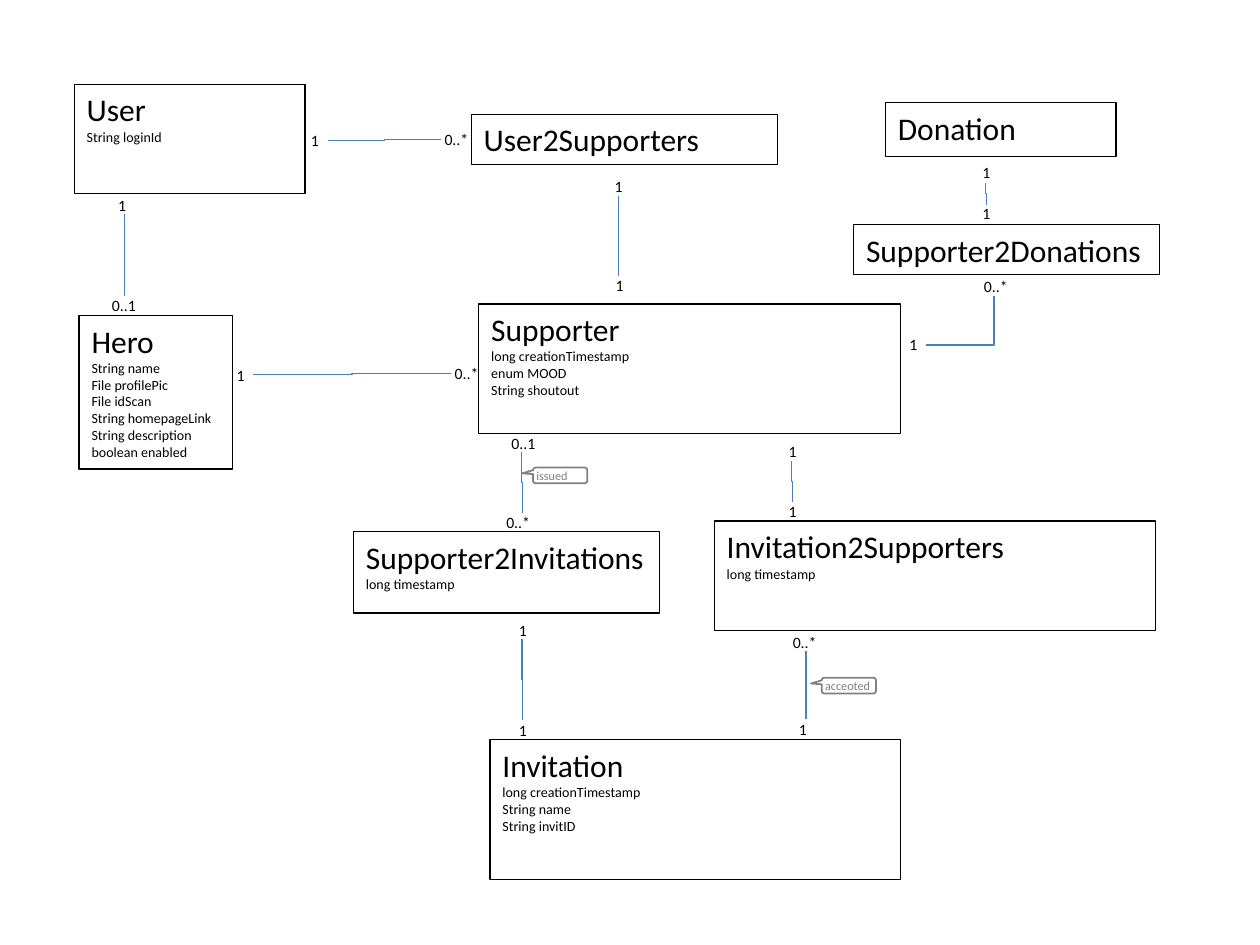
"""Build a class diagram of users, heroes, supporters, invitations and donations."""
from lxml import etree
from pptx import Presentation
from pptx.dml import color
from pptx.enum import shapes, text
from pptx.oxml import ns
from pptx.util import Pt


class Theme:
    font = "Calibri"
    ink = color.RGBColor(0x00, 0x00, 0x00)
    paper = color.RGBColor(0xFF, 0xFF, 0xFF)
    link = color.RGBColor(0x4B, 0x7E, 0xBC)
    note = color.RGBColor(0x80, 0x80, 0x80)
    title, field, label, remark = 18, 8, 9, 7
    thin, note_line = 0.75, 1


CLASSES = [
    ("User", ["String loginId"], (42.5, 48.2, 131.8, 62.6), None),
    ("Supporter", ["long creationTimestamp", "enum MOOD", "String shoutout"],
     (273.6, 173.7, 241.2, 74.2), None),
    ("Hero", ["String name", "File profilePic", "File idScan", "String homepageLink",
              "String description", "boolean enabled"], (45.2, 180.2, 87.8, 87.8), None),
    ("Invitation", ["long creationTimestamp", "String name", "String invitID"],
     (280, 422.6, 234.8, 80), None),
    ("Invitation2Supporters", ["long timestamp"], (408.2, 297.8, 252, 62.6), None),
    ("Donation", [], (506, 58.6, 131.8, 31), None),
    ("Supporter2Invitations", ["long timestamp"], (202, 303.7, 175, 46.6), Theme.paper),
    ("Supporter2Donations", [], (487.8, 128.2, 175, 28.8), Theme.paper),
    ("User2Supporters", [], (269.3, 65.3, 175, 28.8), Theme.paper),
]
LABELS = {
    "1": [(65.5, 111.6), (133.2, 208.8), (448.6, 286.6), (448.6, 252.7), (454.5, 411.1),
          (517.7, 191.5), (559.4, 116.6), (559.4, 92.9), (294.5, 411.8), (294.5, 355),
          (349.7, 157.7), (349.2, 100.8), (175.7, 74.9)],
    "0..1": [(290.2, 247.7), (61.9, 169.2)],
    "0..*": [(257.8, 208.1), (451, 361.4), (560.2, 158.4), (287.3, 293), (252, 74.2)],
}
ACROSS = [(257.8, 213.6, 144.7, 214.2), (252, 79.7, 187.2, 80.3)]
DOWN = [(297.9, 258.5, 298.4, 293), (452.3, 263.5, 452.7, 286.6),
        (71.2, 122.4, 71.2, 169.4), (460.6, 372.2, 460.6, 411.1),
        (563.1, 104.4, 563.6, 117), (298.2, 365, 298.5, 411.5),
        (353.5, 111.9, 353.5, 157.7)]
CORNER = (529.2, 197.2, 568.1, 169.4)
NOTES = [("issued", 304.6, 267.2), ("acceoted", 469.6, 387.3)]
LABEL_SIZE, NOTE_SIZE = (18, 11), (31, 9)


def write(tf, lines, ink=Theme.ink, insets=(7.2, 3.6, 7.2, 3.6),
          anchor=text.MSO_ANCHOR.TOP, wrap=True):
    tf.word_wrap, tf.vertical_anchor = wrap, anchor
    tf.margin_left, tf.margin_top, tf.margin_right, tf.margin_bottom = map(Pt, insets)
    for i, (words, size) in enumerate(lines):
        p = tf.add_paragraph() if i else tf.paragraphs[0]
        p.alignment = text.PP_ALIGN.LEFT
        r = p.add_run()
        r.text = words
        r.font.name, r.font.size, r.font.color.rgb = Theme.font, Pt(size), ink


def outline(sp, ink, width):
    sp.line.color.rgb, sp.line.width = ink, Pt(width)


def add_box(s, kind, at, ink, width, fill=None):
    sp = s.shapes.add_shape(kind, *map(Pt, at))
    sp.shadow.inherit = False
    if fill is None:
        sp.fill.background()
    else:
        sp.fill.solid()
        sp.fill.fore_color.rgb = fill
    outline(sp, ink, width)
    return sp


def add_elbow(s, ends):
    sp = s.shapes.add_connector(shapes.MSO_CONNECTOR.ELBOW, *map(Pt, ends))
    outline(sp, Theme.link, Theme.thin)
    etree.SubElement(sp.element.spPr, ns.qn("a:effectLst"))
    return sp


def add_down(s, x1, y1, x2, y2):
    cx, cy, half, step = (x1 + x2) / 2, (y1 + y2) / 2, (y2 - y1) / 2, (x2 - x1) / 2
    sp = add_elbow(s, (cx + half, cy - step, cx - half, cy + step))
    sp.element.spPr.find(ns.qn("a:xfrm")).set("rot", str(270 * 60000))


def main():
    prs = Presentation()
    prs.slide_width, prs.slide_height = Pt(720), Pt(540)
    s = prs.slides.add_slide(prs.slide_layouts[6])
    for name, fields, at, fill in CLASSES:
        sp = add_box(s, shapes.MSO_SHAPE.RECTANGLE, at, Theme.ink, Theme.thin, fill)
        write(sp.text_frame, [(name, Theme.title)] + [(f, Theme.field) for f in fields])
    for ends in ACROSS:
        add_elbow(s, ends)
    for ends in DOWN:
        add_down(s, *ends)
    corner = add_elbow(s, CORNER)
    corner.element.spPr.find(ns.qn("a:prstGeom")).set("prst", "bentConnector2")
    for words, places in LABELS.items():
        for place in places:
            sp = s.shapes.add_textbox(*map(Pt, place + LABEL_SIZE))
            write(sp.text_frame, [(words, Theme.label)], insets=(2, 0, 0, 0), wrap=False)
    for words, x, y in NOTES:
        sp = add_box(s, shapes.MSO_SHAPE.ROUNDED_RECTANGULAR_CALLOUT,
                     (x, y) + NOTE_SIZE, Theme.note, Theme.note_line)
        sp.adjustments[0], sp.adjustments[1] = -0.7, -0.13
        write(sp.text_frame, [(words, Theme.remark)], ink=Theme.note,
              insets=(1.5, 0, 0, 0), anchor=text.MSO_ANCHOR.MIDDLE)
    prs.save("out.pptx")


if __name__ == "__main__":
    main()
